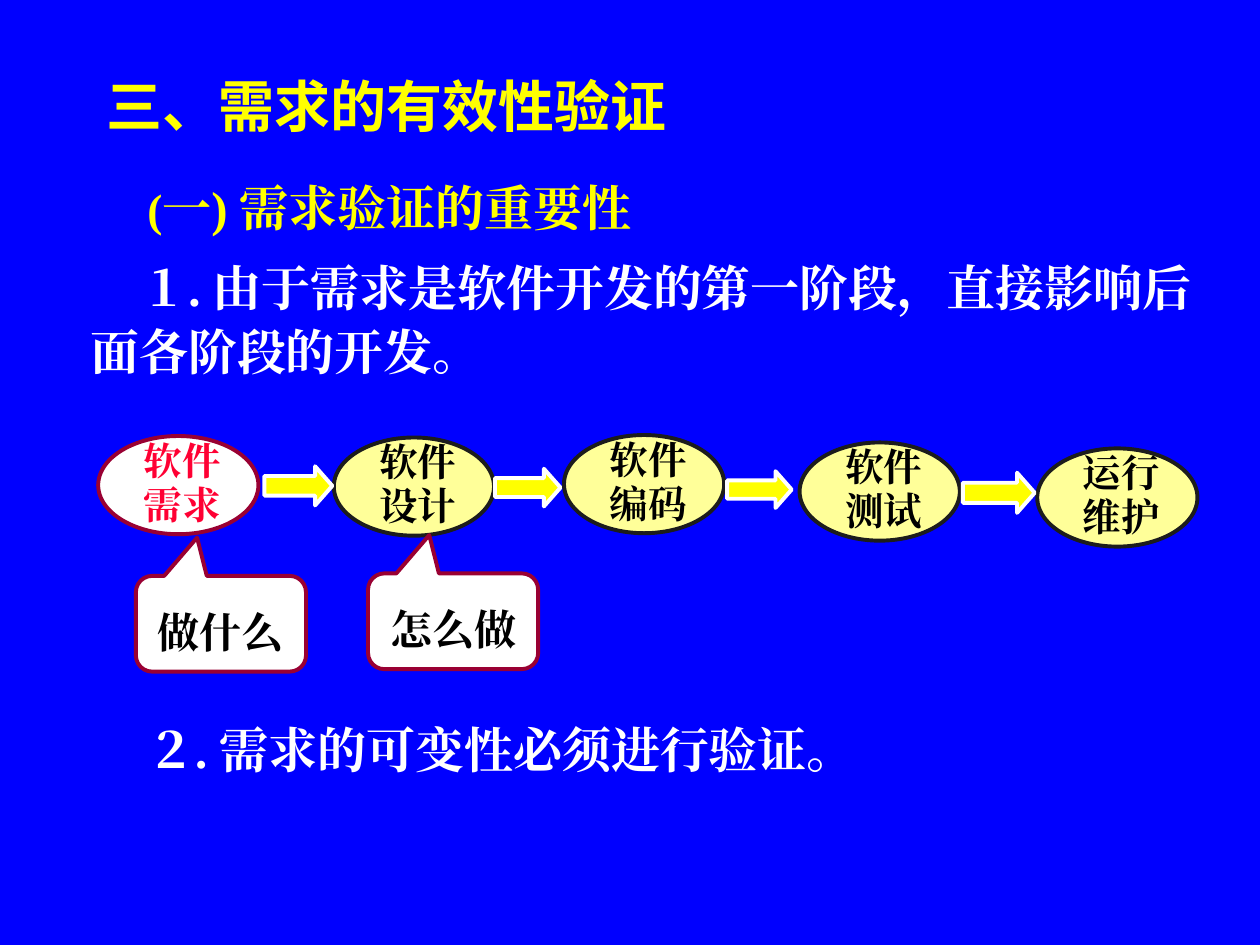
"""Build the slide on validating software requirements."""
from lxml.etree import SubElement
from pptx import Presentation
from pptx.dml.color import RGBColor
from pptx.enum.shapes import MSO_SHAPE
from pptx.enum.text import MSO_ANCHOR, PP_ALIGN
from pptx.oxml.ns import qn
from pptx.util import Cm, Pt

SERIF = "Times New Roman"
SANS = "Noto Sans CJK JP"
YELLOW, WHITE, BLACK = "FFFF00", "FFFFFF", "000000"
CREAM, DARK, WINE, RED = "FFFF99", "1C1C1C", "990033", "FF0033"


def paint(item, fill, line):
    item.shadow.inherit = False
    item.fill.solid()
    item.fill.fore_color.rgb = RGBColor.from_string(fill)
    item.line.color.rgb = RGBColor.from_string(line)
    item.line.width = Pt(2.25)


def write(para, text, size, color, face=SERIF):
    run = para.add_run()
    run.text = text
    font = run.font
    font.size, font.bold, font.name = Pt(size), True, face
    font.color.rgb = RGBColor.from_string(color)
    SubElement(font._element, qn("a:ea")).set("typeface", face)


deck = Presentation()
deck.slide_width, deck.slide_height = Cm(25.4), Cm(19.05)
slide = deck.slides.add_slide(deck.slide_layouts[6])
slide.background.fill.solid()
slide.background.fill.fore_color.rgb = RGBColor.from_string("0000FF")
shapes = slide.shapes

title = shapes.add_textbox(Cm(1.9), Cm(1.22), Cm(21.6), Cm(1.8)).text_frame
title.word_wrap = True
title.vertical_anchor = MSO_ANCHOR.MIDDLE
write(title.paragraphs[0], "三、需求的有效性验证", 32, YELLOW, SANS)

body = shapes.add_textbox(Cm(1.57), Cm(3.1), Cm(23.3), Cm(13.08)).text_frame
body.word_wrap = True
rows = [
    (1.15, 1.3, 0, YELLOW, [("(", 26), ("一) 需求验证的重要性", 28)]),
    (0.99, 1.1, 8.5, WHITE,
     [("１. 由于需求是软件开发的第一阶段，直接影响后面各阶段的开发。", 28)]),
    (1.13, 1.1, 190, WHITE, [("２. 需求的可变性必须进行验证。", 28)]),
]
for num, (indent, space, gap, color, runs) in enumerate(rows):
    para = body.paragraphs[0] if num == 0 else body.add_paragraph()
    para.line_spacing, para.space_before = space, Pt(gap)
    para._p.get_or_add_pPr().set("indent", str(Cm(indent)))
    for text, size in runs:
        write(para, text, size, color)

stages = [
    ("软件需求", 1.98, 8.79, WHITE, WINE, RED),
    ("软件设计", 6.73, 8.82, CREAM, DARK, BLACK),
    ("软件编码", 11.37, 8.77, CREAM, DARK, BLACK),
    ("软件测试", 16.12, 8.92, CREAM, DARK, BLACK),
    ("运行维护", 20.91, 9.04, CREAM, DARK, BLACK),
]
for text, left, top, fill, line, color in stages:
    oval = shapes.add_shape(MSO_SHAPE.OVAL, Cm(left), Cm(top), Cm(3.23), Cm(1.98))
    paint(oval, fill, line)
    label = shapes.add_textbox(
        Cm(left + 0.55), Cm(top - 0.04), Cm(2.29), Cm(2.03)).text_frame
    label.word_wrap = True
    para = label.paragraphs[0]
    para.alignment, para.line_spacing = PP_ALIGN.CENTER, 0.95
    write(para, text, 22, color)

arrows = [
    (5.33, 9.4, 1.37, 0.79),
    (9.98, 9.45, 1.32, 0.76),
    (14.66, 9.5, 1.3, 0.74),
    (19.41, 9.53, 1.45, 0.81),
]
for left, top, width, height in arrows:
    arrow = shapes.add_shape(
        MSO_SHAPE.RIGHT_ARROW, Cm(left), Cm(top), Cm(width), Cm(height))
    arrow.adjustments[1] = 0.44
    paint(arrow, YELLOW, WHITE)

for text, left, top in [("做什么", 2.74, 11.61), ("怎么做", 7.42, 11.56)]:
    note = shapes.add_shape(
        MSO_SHAPE.ROUNDED_RECTANGULAR_CALLOUT, Cm(left), Cm(top), Cm(3.43), Cm(1.93))
    for num, value in enumerate([-0.14, -0.9, 0.17]):
        note.adjustments[num] = value
    paint(note, WHITE, WINE)
    note.text_frame.vertical_anchor = MSO_ANCHOR.MIDDLE
    para = note.text_frame.paragraphs[0]
    para.alignment, para.line_spacing = PP_ALIGN.CENTER, 1.3
    write(para, text, 24, BLACK)

deck.save("out.pptx")
